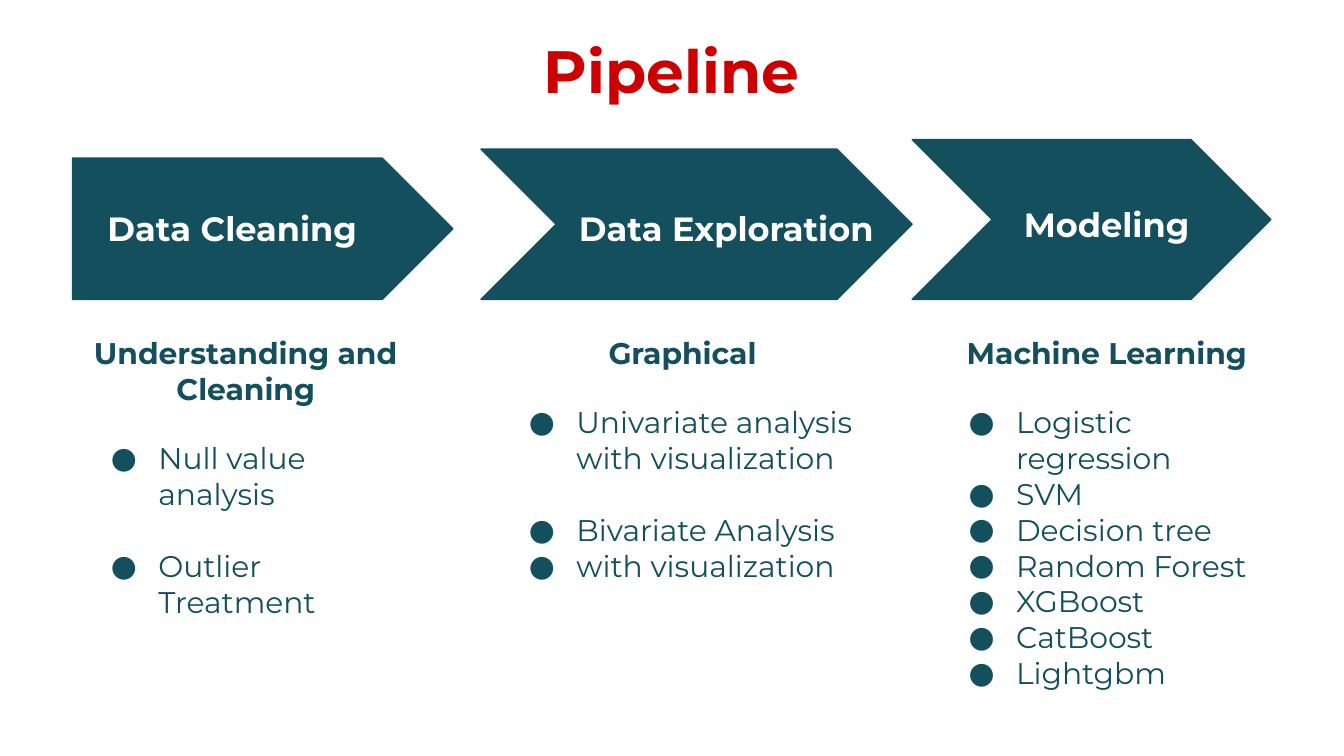
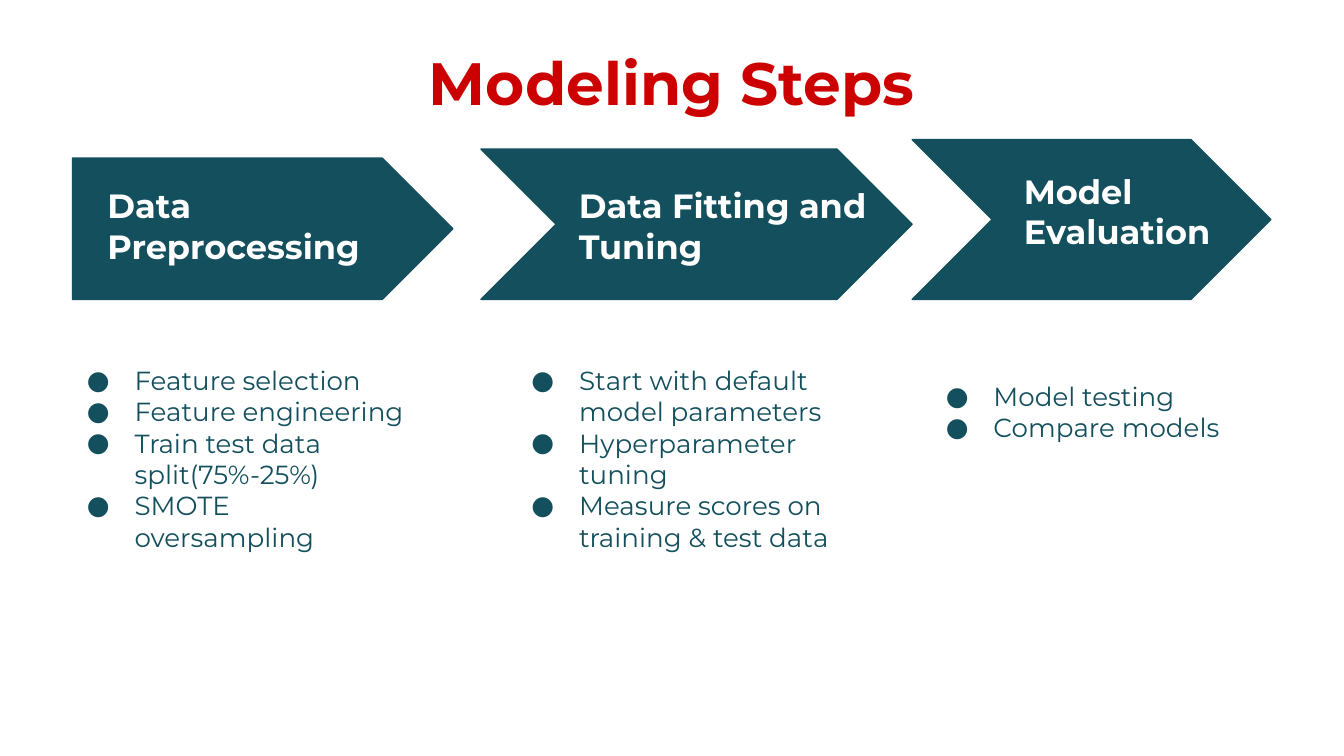
import dataclasses

import lxml.etree
import pptx
import pptx.dml.color
import pptx.enum.shapes
import pptx.enum.text
import pptx.oxml.ns
import pptx.util

Cm = pptx.util.Cm
Pt = pptx.util.Pt
RGB = pptx.dml.color.RGBColor
Align = pptx.enum.text.PP_ALIGN
Anchor = pptx.enum.text.MSO_ANCHOR
AutoSize = pptx.enum.text.MSO_AUTO_SIZE
Preset = pptx.enum.shapes.MSO_SHAPE

COMPARISON_LAYOUT = 4


@dataclasses.dataclass(frozen=True)
class Theme:
    font: str = "Montserrat"
    title_color: RGB = RGB(0xCC, 0x00, 0x00)
    teal: RGB = RGB(0x13, 0x4F, 0x5C)
    white: RGB = RGB(0xFF, 0xFF, 0xFF)
    title_size: int = 32
    step_size: int = 18
    heading_size: int = 16
    inset: float = 0.254
    bullet_indent: float = 1.27
    bullet_hanging: float = 0.9
    heading_gap: int = 18
    item_gap: float = 19.5


@dataclasses.dataclass(frozen=True)
class Column:
    """One stage: its arrow label and the list below it, boxes in cm."""
    label: str
    label_top: float
    list_box: tuple
    items: tuple
    heading: str = ""
    spaced: bool = False


THEME = Theme()

ARROW_BOTTOM = 5.66
# preset, left, top, width
ARROWS = (
    (Preset.PENTAGON, 1.37, 2.99, 7.19),
    (Preset.CHEVRON, 9.09, 2.82, 8.15),
    (Preset.CHEVRON, 17.24, 2.64, 6.78),
)
# left, width
LABELS = ((1.78, 5.44), (10.69, 6.12), (19.1, 5.44))

PIPELINE = (
    Column("Data Cleaning", 3.68, (1.47, 6.07, 6.35, 5.94),
           ("Null value analysis", "Outlier Treatment"),
           "Understanding and Cleaning", spaced=True),
    Column("Data Exploration", 3.68, (9.37, 6.07, 7.06, 5.26),
           ("Univariate analysis with visualization", "Bivariate Analysis",
            "with visualization"),
           "Graphical", spaced=True),
    Column("Modeling", 3.61, (17.68, 6.07, 6.48, 7.32),
           ("Logistic regression", "SVM", "Decision tree", "Random Forest",
            "XGBoost", "CatBoost", "Lightgbm"),
           "Machine Learning"),
)
MODELING_STEPS = (
    Column("Data Preprocessing", 3.25, (1.02, 6.63, 6.96, 4.11),
           ("Feature selection", "Feature engineering",
            "Train test data split(75%-25%)", "SMOTE oversampling")),
    Column("Data Fitting and Tuning", 3.25, (9.42, 6.63, 6.58, 4.11),
           ("Start with default model parameters", "Hyperparameter tuning",
            "Measure scores on training & test data")),
    Column("Model Evaluation", 2.97, (17.25, 6.93, 6.58, 1.7),
           ("Model testing", "Compare models")),
)


def place(shape, left, top, width, height):
    shape.left, shape.top = Cm(left), Cm(top)
    shape.width, shape.height = Cm(width), Cm(height)


def prepare_frame(frame, auto_size=AutoSize.NONE):
    frame.word_wrap = True
    frame.auto_size = auto_size
    frame.vertical_anchor = Anchor.TOP
    frame.margin_left = frame.margin_right = Cm(THEME.inset)
    frame.margin_top = frame.margin_bottom = Cm(THEME.inset)


def next_paragraph(frame):
    """Return the empty first paragraph, or a new one after the text."""
    first = frame.paragraphs[0]
    return frame.add_paragraph() if first.runs else first


def write(para, text, size, color, bold=False, align=Align.LEFT,
          before=0, after=0):
    para.alignment = align
    para.line_spacing = 1.0
    para.space_before, para.space_after = Pt(before), Pt(after)
    span = para.add_run()
    span.text = text
    span.font.name = THEME.font
    span.font.size = Pt(size)
    span.font.bold = bold
    span.font.color.rgb = color


def set_bullet(para, symbol=None):
    """Give the paragraph a hanging bullet, or none without a symbol."""
    properties = para._p.get_or_add_pPr()
    qn = pptx.oxml.ns.qn
    if symbol is None:
        properties.set("marL", "0")
        properties.set("indent", "0")
        lxml.etree.SubElement(properties, qn("a:buNone"))
        return
    properties.set("marL", str(Cm(THEME.bullet_indent)))
    properties.set("indent", str(-Cm(THEME.bullet_hanging)))
    color = lxml.etree.SubElement(properties, qn("a:buClr"))
    lxml.etree.SubElement(color, qn("a:srgbClr"), val=str(THEME.teal))
    lxml.etree.SubElement(properties, qn("a:buFont"), typeface=THEME.font)
    lxml.etree.SubElement(properties, qn("a:buChar"), char=symbol)


def add_title(page, text, top):
    title = page.shapes.title
    place(title, 0.86, top, 23.67, 1.6)
    prepare_frame(title.text_frame)
    write(title.text_frame.paragraphs[0], text, THEME.title_size,
          THEME.title_color, bold=True, align=Align.CENTER)


def add_arrow(page, preset, left, top, width):
    arrow = page.shapes.add_shape(preset, Cm(left), Cm(top), Cm(width),
                                  Cm(ARROW_BOTTOM - top))
    arrow.adjustments[0] = 0.5
    arrow.shadow.inherit = False
    arrow.fill.solid()
    arrow.fill.fore_color.rgb = THEME.teal
    arrow.line.color.rgb = THEME.teal
    arrow.line.width = Pt(0.75)


def add_label(page, text, left, top, width, height):
    box = page.shapes.add_textbox(Cm(left), Cm(top), Cm(width), Cm(height))
    prepare_frame(box.text_frame, AutoSize.SHAPE_TO_FIT_TEXT)
    write(box.text_frame.paragraphs[0], text, THEME.step_size, THEME.white,
          bold=True)


def fill_list(body, column, size):
    place(body, *column.list_box)
    frame = body.text_frame
    prepare_frame(frame)
    if column.heading:
        para = next_paragraph(frame)
        write(para, column.heading, THEME.heading_size, THEME.teal, bold=True,
              align=Align.CENTER, after=THEME.heading_gap)
        set_bullet(para)
    for index, item in enumerate(column.items):
        gap = THEME.item_gap if column.spaced and index == 1 else 0
        para = next_paragraph(frame)
        write(para, item, size, THEME.teal, before=gap)
        set_bullet(para, "●")


def add_page(deck, title, title_top, columns, label_height, list_size):
    page = deck.slides.add_slide(deck.slide_layouts[COMPARISON_LAYOUT])
    add_title(page, title, title_top)
    for arrow in ARROWS:
        add_arrow(page, *arrow)
    for column, (left, width) in zip(columns, LABELS):
        add_label(page, column.label, left, column.label_top, width,
                  label_height)
    bodies = list(page.placeholders)[1:]
    for body, column in zip(bodies, columns):
        fill_list(body, column, list_size)
    for unused in bodies[len(columns):]:
        unused.element.getparent().remove(unused.element)


def main():
    deck = pptx.Presentation()
    deck.slide_width, deck.slide_height = Cm(25.4), Cm(14.29)
    add_page(deck, "Pipeline", 0.38, PIPELINE, label_height=1.27,
             list_size=16)
    add_page(deck, "Modeling Steps", 0.61, MODELING_STEPS, label_height=2.06,
             list_size=14)
    deck.save("out.pptx")


if __name__ == "__main__":
    main()
